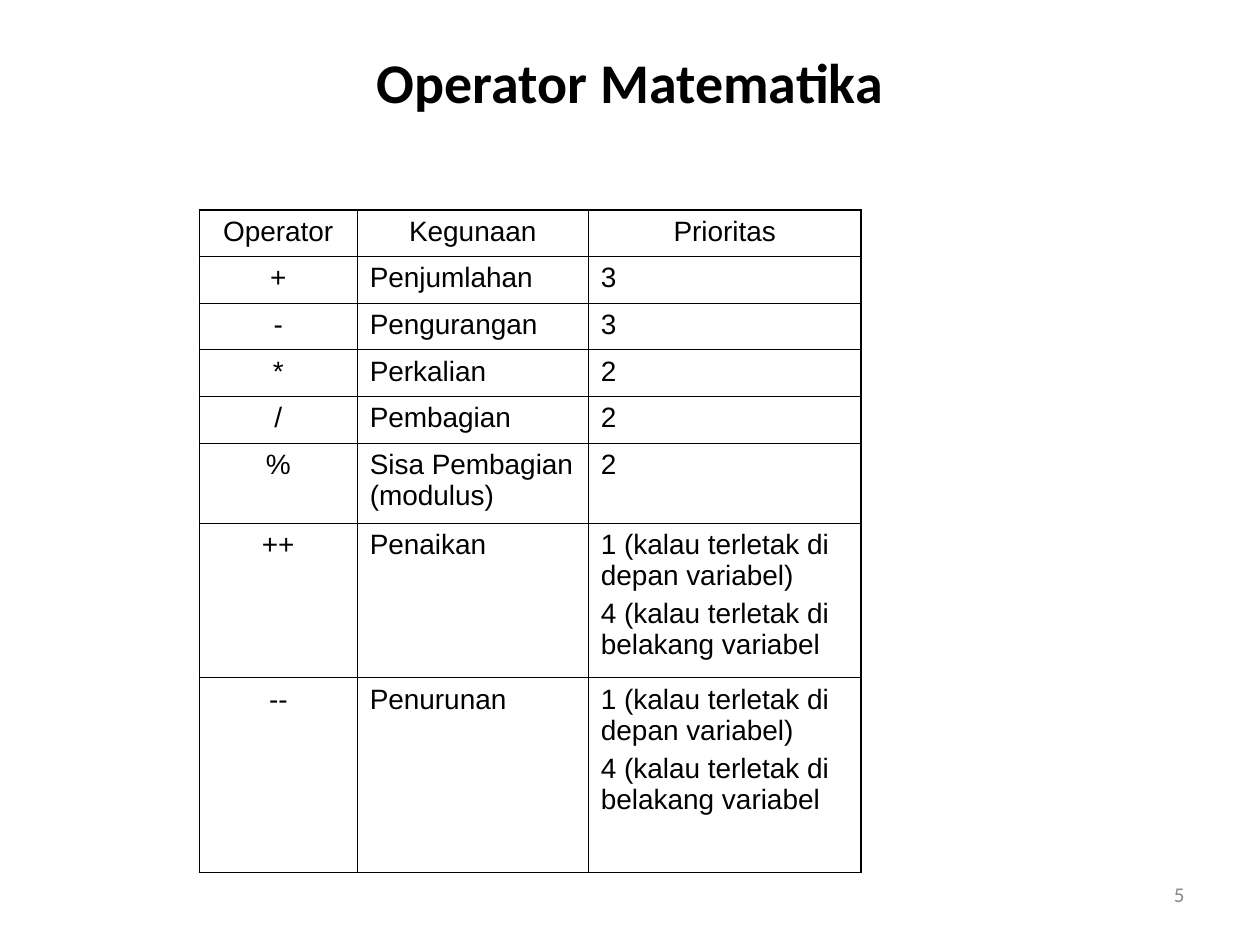
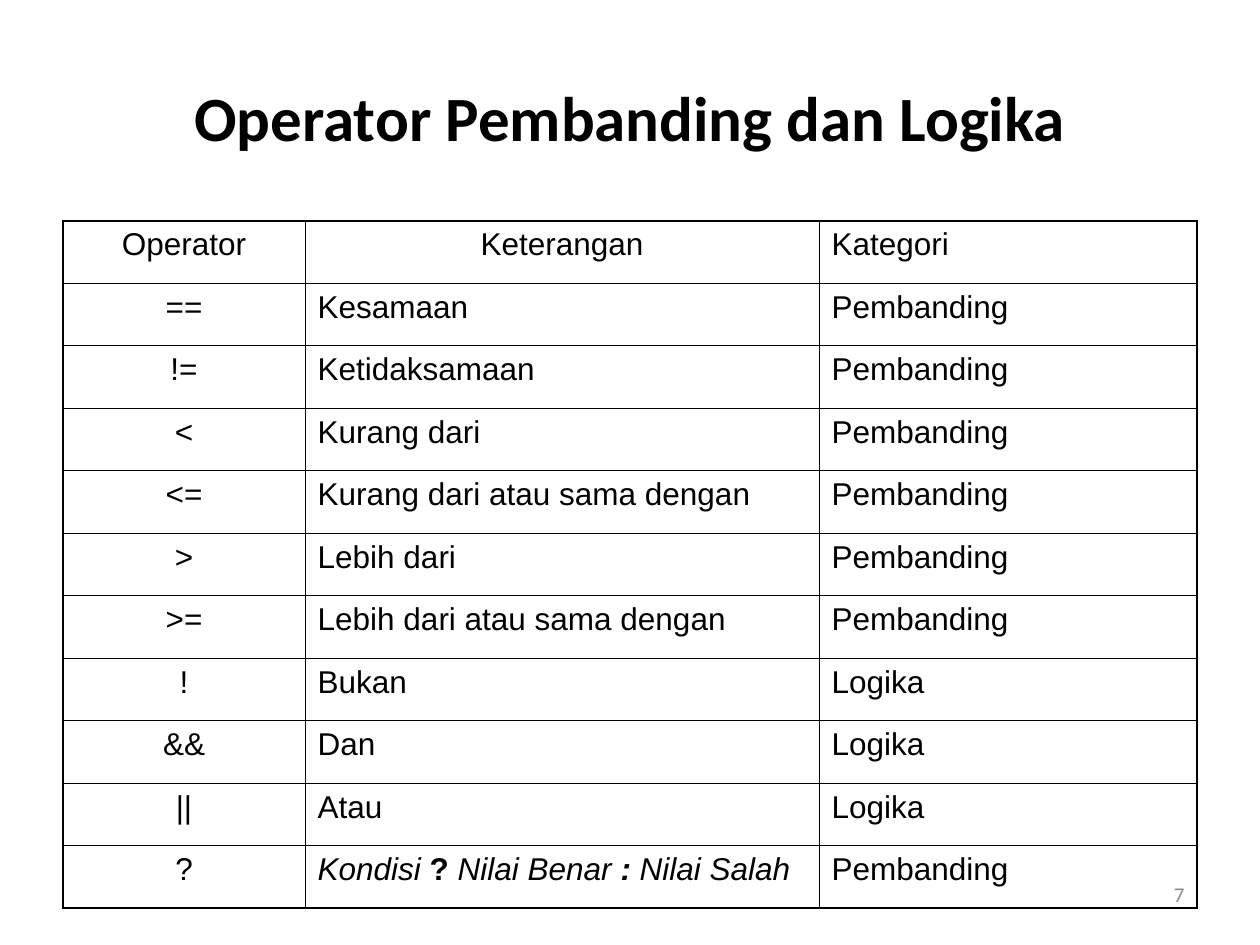
from lxml import etree
from pptx import Presentation
from pptx.dml.color import RGBColor
from pptx.enum.text import MSO_ANCHOR, PP_ALIGN
from pptx.oxml.ns import qn
from pptx.util import Cm, Pt

LEFT, CENTER, RIGHT = PP_ALIGN.LEFT, PP_ALIGN.CENTER, PP_ALIGN.RIGHT
MIDDLE = MSO_ANCHOR.MIDDLE
TITLE_ONLY = 5
BLACK, GREY = "000000", "898989"
HEADING_FONT, TABLE_FONT = "Calibri", "Arial"
OUTER_LINE, INNER_LINE = Pt(1.08), Pt(0.45)

POSITION_PRIORITY = "1 (kalau terletak di depan variabel)\n4 (kalau terletak di belakang variabel"
MATH_ROWS = [
    ("Operator", "Kegunaan", "Prioritas"),
    ("+", "Penjumlahan", "3"),
    ("-", "Pengurangan", "3"),
    ("*", "Perkalian", "2"),
    ("/", "Pembagian", "2"),
    ("%", "Sisa Pembagian (modulus)", "2"),
    ("++", "Penaikan", POSITION_PRIORITY),
    ("--", "Penurunan", POSITION_PRIORITY),
]
CONDITIONAL_RUNS = [
    ("Kondisi ", "i"), ("? ", "b"), ("Nilai Benar ", "i"), (":", "bi"), (" Nilai Salah", "i"),
]
LOGIC_ROWS = [
    ("Operator", "Keterangan", "Kategori"),
    ("==", "Kesamaan", "Pembanding"),
    ("!=", "Ketidaksamaan", "Pembanding"),
    ("<", "Kurang dari", "Pembanding"),
    ("<=", "Kurang dari atau sama dengan", "Pembanding"),
    (">", "Lebih dari", "Pembanding"),
    (">=", "Lebih dari atau sama dengan", "Pembanding"),
    ("!", "Bukan", "Logika"),
    ("&&", "Dan", "Logika"),
    ("||", "Atau", "Logika"),
    ("?", CONDITIONAL_RUNS, "Pembanding"),
]


def color(hex_value):
    """Turn a hex string into a colour."""
    return RGBColor.from_string(hex_value)


def add_run(paragraph, text, size, font_name, hex_value=BLACK, style=""):
    """Append a run; style holds b for bold and i for italic."""
    run = paragraph.add_run()
    run.text = text
    run.font.size = Pt(size)
    run.font.name = font_name
    run.font.color.rgb = color(hex_value)
    run.font.bold = "b" in style
    run.font.italic = "i" in style


def add_page_number(slide, number):
    """Write the page number at the bottom right."""
    box = slide.shapes.add_textbox(Cm(18.2), Cm(17.36), Cm(5.93), Cm(1.32))
    frame = box.text_frame
    frame.word_wrap = True
    frame.vertical_anchor = MIDDLE
    paragraph = frame.paragraphs[0]
    paragraph.alignment = RIGHT
    add_run(paragraph, str(number), 12, HEADING_FONT, GREY)


def add_titled_slide(presentation, title, size, top, height, number):
    """Add a slide with a centred bold title and a page number."""
    slide = presentation.slides.add_slide(presentation.slide_layouts[TITLE_ONLY])
    shape = slide.shapes.title
    shape.left, shape.top, shape.width, shape.height = Cm(1.27), Cm(top), Cm(22.86), Cm(height)
    shape.text_frame.vertical_anchor = MIDDLE
    paragraph = shape.text_frame.paragraphs[0]
    paragraph.alignment = CENTER
    add_run(paragraph, title, size, HEADING_FONT, style="b")
    add_page_number(slide, number)
    return slide


def set_borders(cell, outer_sides):
    """Draw the four cell borders, heavier on the outer sides."""
    properties = cell._tc.get_or_add_tcPr()
    for index, side in enumerate("LRTB"):
        width = OUTER_LINE if side in outer_sides else INNER_LINE
        line = etree.Element(qn(f"a:ln{side}"), w=str(int(width)))
        fill = etree.SubElement(line, qn("a:solidFill"))
        etree.SubElement(fill, qn("a:srgbClr"), val=BLACK)
        properties.insert(index, line)


def fill_cell(cell, content, size, alignment):
    """Write a cell from lines of text or from a list of styled runs."""
    cell.fill.background()
    lines = [[(line, "")] for line in content.split("\n")] if isinstance(content, str) else [content]
    frame = cell.text_frame
    for index, runs in enumerate(lines):
        paragraph = frame.add_paragraph() if index else frame.paragraphs[0]
        paragraph.alignment = alignment
        if index:
            paragraph.space_before = Pt(size / 4)
        for text, style in runs:
            add_run(paragraph, text, size, TABLE_FONT, style=style)


def add_operator_table(slide, rows, left, top, widths, heights, size, centred_headers):
    """Add a ruled table whose first column is centred."""
    shape = slide.shapes.add_table(
        len(rows), len(widths), Cm(left), Cm(top), Cm(sum(widths)), Cm(sum(heights)))
    table = shape.table
    table.first_row = table.horz_banding = False
    for column, width in zip(table.columns, widths):
        column.width = Cm(width)
    for row, height in zip(table.rows, heights):
        row.height = Cm(height)
    last_row, last_column = len(rows) - 1, len(widths) - 1
    for r, row in enumerate(rows):
        for c, content in enumerate(row):
            centred = c == 0 or (r == 0 and c < centred_headers)
            cell = table.cell(r, c)
            fill_cell(cell, content, size, CENTER if centred else LEFT)
            edges = {"L": c == 0, "R": c == last_column, "T": r == 0, "B": r == last_row}
            set_borders(cell, [side for side, outer in edges.items() if outer])


def main():
    """Build the two operator slides."""
    presentation = Presentation()
    presentation.slide_width, presentation.slide_height = Cm(25.4), Cm(19.05)

    math_slide = add_titled_slide(presentation, "Operator Matematika", 32, 0.85, 1.57, 5)
    add_operator_table(math_slide, MATH_ROWS, 4.02, 4.23, [3.18, 4.66, 5.5],
                       [0.94] * 5 + [1.61, 3.12, 3.93], 16, 3)

    logic_slide = add_titled_slide(presentation, "Operator Pembanding dan Logika", 36, 0.76, 3.18, 7)
    add_operator_table(logic_slide, LOGIC_ROWS, 1.27, 4.45, [4.88, 10.36, 7.62],
                       [1.26] * len(LOGIC_ROWS), 18, 2)

    presentation.save("out.pptx")


if __name__ == "__main__":
    main()
